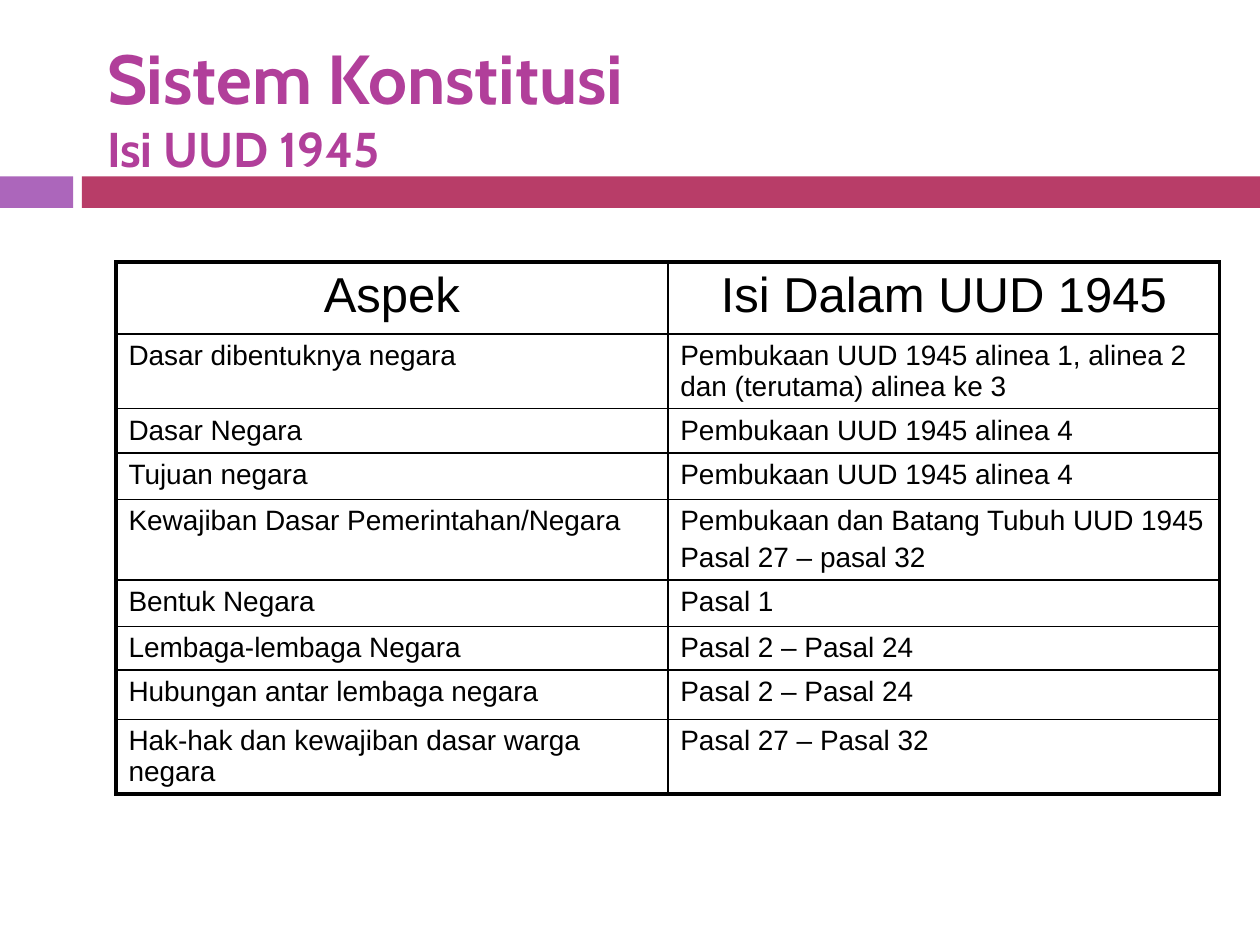
from lxml.etree import SubElement
from pptx import Presentation
from pptx.dml.color import RGBColor
from pptx.enum.shapes import MSO_SHAPE
from pptx.enum.text import MSO_ANCHOR, MSO_AUTO_SIZE, PP_ALIGN
from pptx.oxml.ns import qn
from pptx.util import Inches, Pt

BLACK = RGBColor(0x00, 0x00, 0x00)
MAGENTA = RGBColor(0xB1, 0x3F, 0x9A)
PURPLE = RGBColor(0xAC, 0x66, 0xBB)
CRIMSON = RGBColor(0xB8, 0x3D, 0x68)
OUTER, INNER = Pt(2.25), Pt(1)

HEADER = ("Aspek", "Isi Dalam UUD 1945")
ASPECTS = [
    ("Dasar dibentuknya negara",
     "Pembukaan UUD 1945 alinea 1, alinea 2 dan (terutama) alinea ke 3"),
    ("Dasar Negara", "Pembukaan UUD 1945 alinea 4"),
    ("Tujuan negara", "Pembukaan UUD 1945 alinea 4"),
    ("Kewajiban Dasar Pemerintahan/Negara",
     "Pembukaan dan Batang Tubuh UUD 1945\nPasal 27 – pasal 32"),
    ("Bentuk Negara", "Pasal 1"),
    ("Lembaga-lembaga Negara", "Pasal 2 – Pasal 24"),
    ("Hubungan antar lembaga negara", "Pasal 2 – Pasal 24"),
    ("Hak-hak dan kewajiban dasar warga negara", "Pasal 27 – Pasal 32"),
]
ROW_HEIGHTS = (0.57, 0.57, 0.35, 0.37, 0.57, 0.37, 0.34, 0.39, 0.57)


def add_band(slide, left, top, width, height):
    """Draw the two-part colour band across the given box."""
    accent, gap = 0.58, 0.07
    bar_offset = accent + gap
    for offset, length, color in ((0, accent, PURPLE),
                                  (bar_offset, width - bar_offset, CRIMSON)):
        bar = slide.shapes.add_shape(
            MSO_SHAPE.RECTANGLE, Inches(left + offset), Inches(top),
            Inches(length), Inches(height))
        bar.shadow.inherit = False
        bar.fill.solid()
        bar.fill.fore_color.rgb = color
        bar.line.fill.background()


def fill_title(slide, left, top, width, height):
    """Place the title and its smaller second line in the given box."""
    title = slide.shapes.title
    title.left, title.top = Inches(left), Inches(top)
    title.width, title.height = Inches(width), Inches(height)
    frame = title.text_frame
    frame.word_wrap = True
    frame.auto_size = MSO_AUTO_SIZE.NONE
    frame.vertical_anchor = MSO_ANCHOR.MIDDLE
    frame.margin_top = frame.margin_bottom = 0
    heading = frame.paragraphs[0]
    heading.alignment = PP_ALIGN.LEFT
    heading.font.name = "Cabin"
    heading.font.bold = True
    heading.font.color.rgb = MAGENTA
    main = heading.add_run()
    main.text = "Sistem Konstitusi"
    main.font.size = Pt(39.6)
    heading.add_line_break()
    subtitle = heading.add_run()
    subtitle.text = "Isi UUD 1945"
    subtitle.font.size = Pt(27.9)


def set_borders(cell, **widths):
    """Give the cell black borders, keyed by side: L, R, T, B."""
    properties = cell._tc.get_or_add_tcPr()
    for index, (side, width) in enumerate(widths.items()):
        line = SubElement(properties, qn(f"a:ln{side}"), w=str(int(width)))
        properties.insert(index, line)
        fill = SubElement(line, qn("a:solidFill"))
        SubElement(fill, qn("a:srgbClr"), val=str(BLACK))


def fill_cell(cell, text, size, alignment):
    """Write the text, one paragraph per line, in an unfilled cell."""
    cell.fill.background()
    cell.text = text
    for paragraph in cell.text_frame.paragraphs:
        paragraph.alignment = alignment
        paragraph.font.name = "Arial"
        paragraph.font.size = Pt(size)
        paragraph.font.color.rgb = BLACK
        properties = paragraph._p.get_or_add_pPr()
        before = SubElement(properties, qn("a:spcBef"))
        properties.insert(0, before)
        SubElement(before, qn("a:spcPct"), val="20000")


def add_aspect_table(slide, left, top, width):
    """Build the table of aspects, two equal columns wide."""
    rows = [HEADER, *ASPECTS]
    last_row, last_column = len(rows) - 1, len(HEADER) - 1
    table = slide.shapes.add_table(
        len(rows), len(HEADER), Inches(left), Inches(top),
        Inches(width), Inches(sum(ROW_HEIGHTS))).table
    table.first_row = table.horz_banding = False
    for row, height in zip(table.rows, ROW_HEIGHTS):
        row.height = Inches(height)
    for r, texts in enumerate(rows):
        size, alignment = (16, PP_ALIGN.LEFT) if r else (28, PP_ALIGN.CENTER)
        for c, text in enumerate(texts):
            cell = table.cell(r, c)
            fill_cell(cell, text, size, alignment)
            set_borders(cell,
                        L=OUTER if c == 0 else INNER,
                        R=OUTER if c == last_column else INNER,
                        T=OUTER if r == 0 else INNER,
                        B=OUTER if r == last_row else INNER)


def main():
    """Build and save the slide."""
    deck = Presentation()
    deck.slide_width, deck.slide_height = Inches(10), Inches(7.5)
    slide = deck.slides.add_slide(deck.slide_layouts[5])
    add_band(slide, 0, 1.4, 10, 0.25)
    fill_title(slide, 0.75, 0.27, 8.92, 1.15)
    add_aspect_table(slide, 0.92, 2.08, 8.76)
    deck.save("out.pptx")


main()
